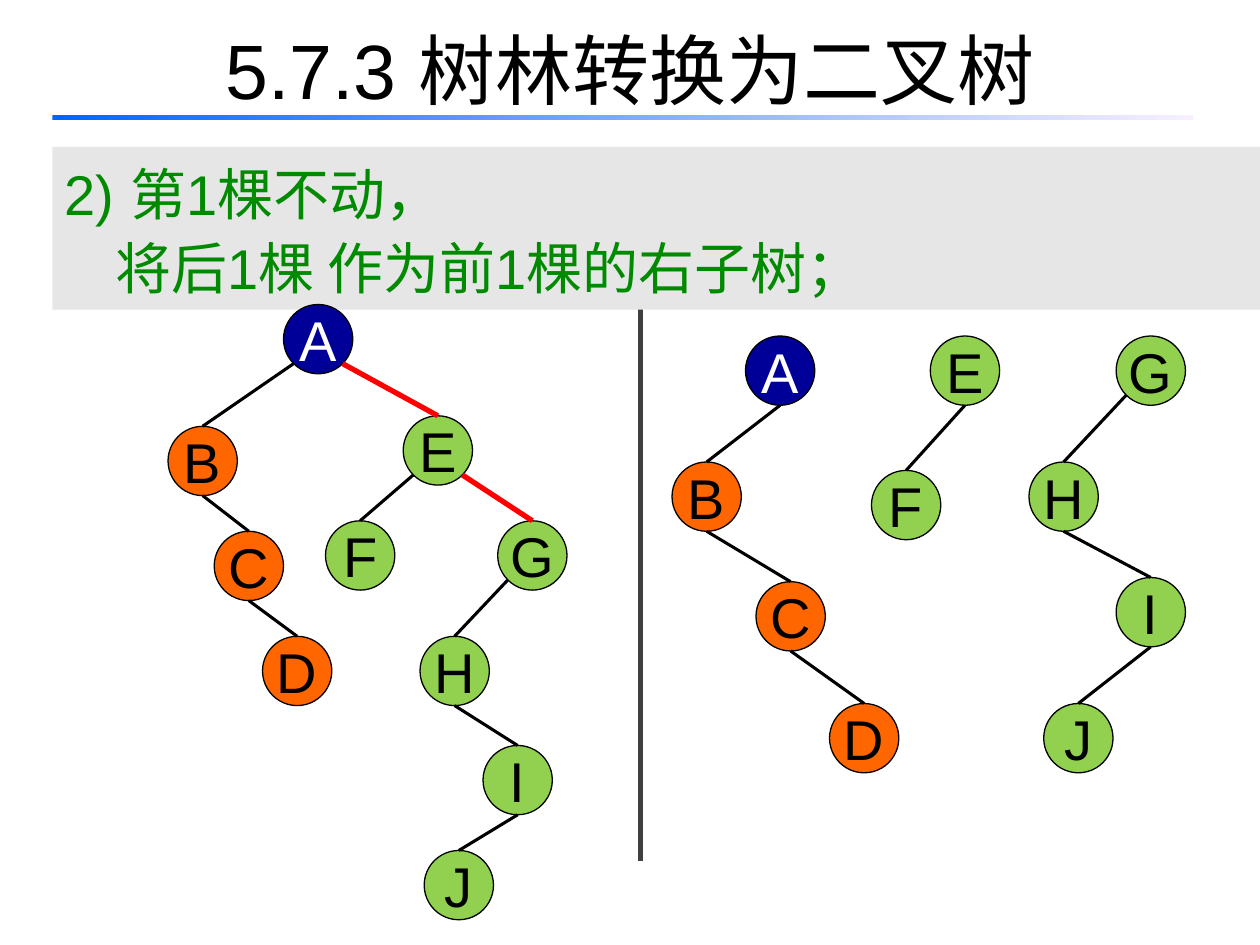
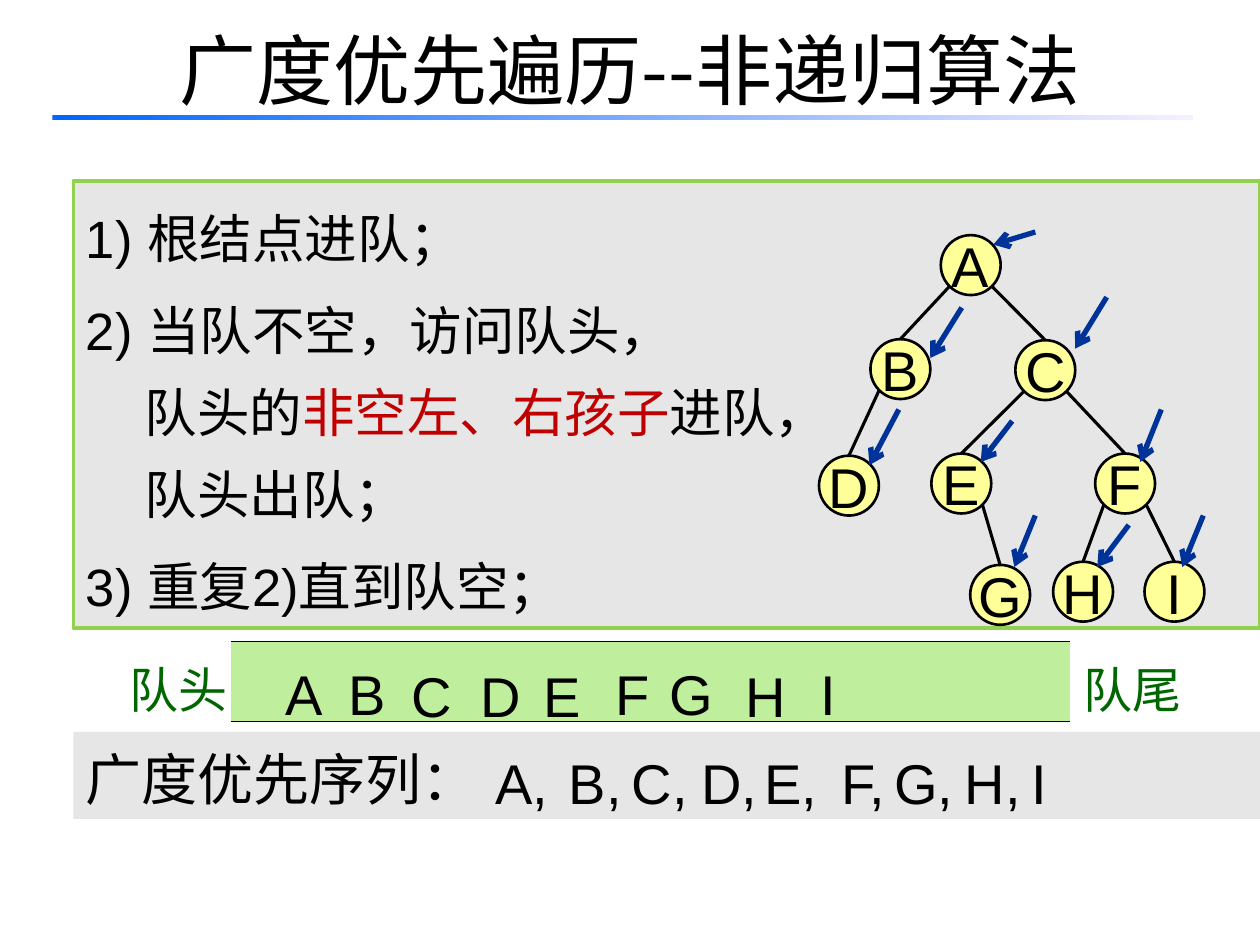
from dataclasses import dataclass
from math import sqrt

from lxml import etree
from pptx import Presentation
from pptx import util as u
from pptx.dml.color import RGBColor
from pptx.enum import shapes, text
from pptx.oxml import ns

# Grid: 120 columns by 90 rows on a 10 x 7.5 inch slide
COLS, ROWS = 120, 90
WIDTH, HEIGHT = u.Inches(10), u.Inches(7.5)
LATIN, CJK = "Arial", "Noto Sans CJK SC"
BLACK, WHITE, GREY = "000000", "FFFFFF", "E6E6E6"
NAVY, ORANGE, GREEN, YELLOW = "000099", "FF6600", "92D050", "FFFF99"
RED, DARK_RED, ARROW_BLUE = "FF0000", "C00000", "003399"
TEXT_GREEN, LABEL_GREEN = "008A00", "006600"

# Where an edge leaves its parent: share of the node's width and height
LOW, HIGH = 0.5 - sqrt(0.125), 0.5 + sqrt(0.125)
LEFT, BOTTOM, RIGHT = (LOW, HIGH), (0.5, 1), (HIGH, HIGH)


@dataclass
class Edge:
    parent: str
    child: str
    start: tuple = BOTTOM
    color: str = BLACK
    weight: float = 1.75


@dataclass
class Tree:
    nodes: dict      # label -> (column, row)
    edges: list
    size: float      # node diameter in cells
    outline: float   # node outline in points


@dataclass
class Line:
    runs: list       # (text, colour) pairs
    margin: float = 0
    indent: float = 0
    before: float = 0


@dataclass
class Label:
    text: str
    col: float
    row: float
    size: int = 32
    color: str = BLACK
    width: float = 8


def x(cols: float) -> int:
    return round(WIDTH * cols / COLS)


def y(rows: float) -> int:
    return round(HEIGHT * rows / ROWS)


def area(col: float, row: float, width: float, height: float) -> tuple:
    return x(col), y(row), x(width), y(height)


def rgb(color: str) -> RGBColor:
    return RGBColor.from_string(color)


def style(r, size: float, color: str, latin: str = LATIN) -> None:
    r.font.size, r.font.name = u.Pt(size), latin
    r.font.color.rgb = rgb(color)
    ea = etree.SubElement(r._r.get_or_add_rPr(), ns.qn("a:ea"))
    ea.set("typeface", CJK)


def add_shape(s, kind, box: tuple, fill: str, line: str = "", weight: float = 1):
    sp = s.shapes.add_shape(kind, *area(*box))
    sp.shadow.inherit = False
    sp.fill.solid()
    sp.fill.fore_color.rgb = rgb(fill)
    if line:
        sp.line.color.rgb, sp.line.width = rgb(line), u.Pt(weight)
    else:
        sp.line.fill.background()
    return sp


def add_line(s, start: tuple, end: tuple, color: str, weight: float, arrow: bool = False):
    c = s.shapes.add_connector(shapes.MSO_CONNECTOR.STRAIGHT,
                               x(start[0]), y(start[1]), x(end[0]), y(end[1]))
    c.line.color.rgb, c.line.width = rgb(color), u.Pt(weight)
    if arrow:
        etree.SubElement(c.line._get_or_add_ln(), ns.qn("a:tailEnd")).set("type", "arrow")
    etree.SubElement(c._element.spPr, ns.qn("a:effectLst"))
    return c


def add_panel(s, box: tuple, lines: list, size: float, spacing: float, outline: str = "") -> None:
    sp = add_shape(s, shapes.MSO_SHAPE.RECTANGLE, box, GREY, outline, 2.25)
    tf = sp.text_frame
    tf.word_wrap, tf.vertical_anchor = True, text.MSO_ANCHOR.TOP
    for i, line in enumerate(lines):
        p = tf.add_paragraph() if i else tf.paragraphs[0]
        p.alignment, p.line_spacing = text.PP_ALIGN.LEFT, spacing
        if line.before:
            p.space_before = u.Pt(line.before)
        pPr = p._p.get_or_add_pPr()
        pPr.set("marL", str(x(line.margin)))
        pPr.set("indent", str(x(line.indent)))
        for words, color in line.runs:
            r = p.add_run()
            r.text = words
            style(r, size, color)


def add_label(s, label: Label) -> None:
    tf = s.shapes.add_textbox(*area(label.col, label.row, label.width, 8.5)).text_frame
    tf.word_wrap = True
    tf.text = label.text
    p = tf.paragraphs[0]
    p.line_spacing = 1.25
    style(p.runs[0], label.size, label.color)


def add_tree(s, tree: Tree, fills: dict) -> None:
    drawn = {}
    for name, (col, row) in tree.nodes.items():
        fill = fills.get(name, fills["other"])
        sp = add_shape(s, shapes.MSO_SHAPE.OVAL, (col, row, tree.size, tree.size),
                       fill, BLACK, tree.outline)
        tf = sp.text_frame
        tf.word_wrap, tf.vertical_anchor = False, text.MSO_ANCHOR.MIDDLE
        tf.text = name
        p = tf.paragraphs[0]
        p.alignment = text.PP_ALIGN.CENTER
        style(p.runs[0], 32, WHITE if fill == NAVY else BLACK)
        drawn[name] = sp
    for e in tree.edges:
        start = [at + tree.size * share for at, share in zip(tree.nodes[e.parent], e.start)]
        c = add_line(s, start, tree.nodes[e.child], e.color, e.weight)
        c.end_connect(drawn[e.child], 0)


def add_slide(prs, title: list):
    """Title-only slide with the shared title style and gradient rule."""
    s = prs.slides.add_slide(prs.slide_layouts[5])
    sp = s.shapes.title
    sp.left, sp.top, sp.width, sp.height = area(6, -1, 108, 15)
    tf = sp.text_frame
    tf.vertical_anchor = text.MSO_ANCHOR.MIDDLE
    p = tf.paragraphs[0]
    p.alignment = text.PP_ALIGN.CENTER
    for words, font in title:
        r = p.add_run()
        r.text = words
        style(r, 44, BLACK, font)
    rule = add_shape(s, shapes.MSO_SHAPE.RECTANGLE, (5, 10.95, 108.6, 0.5), WHITE)
    rule.fill.gradient()
    rule.fill.gradient_angle = 0
    for stop, color in zip(rule.fill.gradient_stops, ("0066FF", "F7EFFF")):
        stop.color.rgb = rgb(color)
    return s


def add_queue(s) -> None:
    """Open-ended one-cell table that stands for the queue."""
    table = s.shapes.add_table(1, 1, *area(22, 61.1, 80, 7.6)).table
    table.first_row = table.horz_banding = False
    cell = table.cell(0, 0)
    tcPr = cell._tc.get_or_add_tcPr()
    for side, color in (("L", ""), ("R", WHITE), ("T", BLACK), ("B", BLACK)):
        ln = etree.SubElement(tcPr, ns.qn(f"a:ln{side}"), w=str(u.Pt(1)))
        fill = etree.SubElement(ln, ns.qn("a:solidFill" if color else "a:noFill"))
        if color:
            etree.SubElement(fill, ns.qn("a:srgbClr"), val=color)
    cell.fill.solid()
    cell.fill.fore_color.rgb = rgb("BFEE9C")


def forest_slide(prs) -> None:
    s = add_slide(prs, [("5.7.3 ", LATIN), ("树林转换为二叉树", CJK)])
    add_line(s, (61, 28), (61, 82), "404040", 3)
    add_panel(s, (5, 14, 115, 15.5), [
        Line([("2) 第1棵不动，", TEXT_GREEN)]),
        Line([("将后1棵 作为前1棵的右子树；", TEXT_GREEN)], margin=4.8),
    ], 32, 1.1)

    # Separate binary trees on the right, joined tree on the left
    chains = [Edge("B", "C"), Edge("C", "D"), Edge("G", "H", LEFT),
              Edge("H", "I"), Edge("I", "J")]
    separate = Tree(
        {"A": (71, 32), "B": (64, 44), "C": (72, 55.4), "D": (79, 67),
         "E": (88.6, 32), "F": (83, 44.8), "G": (106.3, 32), "H": (98, 44),
         "I": (106.3, 55), "J": (99.4, 67)},
        chains + [Edge("A", "B"), Edge("E", "F")], 6.6, 0.75)
    joined = Tree(
        {"A": (27, 29), "B": (16, 40.6), "C": (20.4, 50.6), "D": (25, 60.6),
         "E": (38.4, 39.6), "F": (31, 49.6), "G": (47.4, 49.6), "H": (40, 60.6),
         "I": (46, 71), "J": (40.4, 81)},
        chains + [Edge("A", "B", LEFT), Edge("E", "F", LEFT),
                  Edge("A", "E", RIGHT, RED, 3), Edge("E", "G", RIGHT, RED, 3)], 6.6, 0.75)
    fills = {"A": NAVY, "B": ORANGE, "C": ORANGE, "D": ORANGE, "other": GREEN}
    for tree in (separate, joined):
        add_tree(s, tree, fills)


def traversal_slide(prs) -> None:
    s = add_slide(prs, [("广度优先遍历--非递归算法", CJK)])

    # Steps of the algorithm
    hang = {"margin": 6.7, "indent": -6.7}
    add_panel(s, (7, 17.2, 113, 42.6), [
        Line([("1) 根结点进队；", BLACK)], **hang),
        Line([("2) 当队不空，访问队头，", BLACK)], before=6, **hang),
        Line([("队头的", BLACK), ("非空左、右孩子", DARK_RED), ("进队，", BLACK)], margin=5.6),
        Line([("队头出队；", BLACK)], margin=5.6),
        Line([("3) 重复2)直到队空；", BLACK)], before=6, **hang),
    ], 30, 1.3, GREEN)

    # Tree and the arrows that mark the visits
    add_tree(s, Tree(
        {"A": (89.6, 22.4), "B": (82.9, 32.3), "C": (96.7, 32.4), "D": (78, 43.4),
         "E": (88.7, 43.2), "F": (104.3, 43.2), "G": (92.4, 53.8),
         "H": (100.3, 53.5), "I": (109, 53.5)},
        [Edge("A", "B", LEFT), Edge("A", "C", RIGHT), Edge("B", "D", LEFT),
         Edge("C", "E", LEFT), Edge("C", "F", RIGHT), Edge("E", "G", RIGHT),
         Edge("F", "H", LEFT), Edge("F", "I", RIGHT)], 5.7, 1.5), {"other": YELLOW})
    visits = [((98.6, 22.1), (94.6, 23.3)), ((91.6, 29.3), (88.6, 34.1)),
              ((105.4, 28.3), (102.4, 33.2)), ((85.6, 39), (82.8, 44.3)),
              ((96.4, 40.1), (93.4, 44)), ((110.6, 39), (108.6, 44)),
              ((98.6, 49.1), (96.6, 54)), ((107.5, 50), (104.5, 54)),
              ((114.6, 49.1), (112.6, 54))]
    for start, end in visits:
        add_line(s, start, end, ARROW_BLUE, 3, arrow=True)

    # Queue and visiting sequence
    add_panel(s, (7, 69.7, 113, 8.3), [Line([("广度优先序列：", BLACK)])], 32, 1.1)
    add_queue(s)
    add_label(s, Label("队头", 11.2, 60.8, 28, LABEL_GREEN, 12))
    add_label(s, Label("队尾", 102, 60.8, 28, LABEL_GREEN, 12))
    names = "ABCDEFGHI"
    queue_cols = (26, 32, 38, 44.6, 50.6, 57.4, 62.6, 69.8, 77)
    sequence_cols = (46, 53, 59, 65.6, 71.6, 79, 84, 90.7, 97.1)
    for name, queue_col, sequence_col in zip(names, queue_cols, sequence_cols):
        add_label(s, Label(name, queue_col, 60.8 if name in "CDEH" else 60.6))
        comma = "" if name == names[-1] else ","
        add_label(s, Label(name + comma, sequence_col, 69.1))


def main() -> None:
    prs = Presentation()
    prs.slide_width, prs.slide_height = WIDTH, HEIGHT
    forest_slide(prs)
    traversal_slide(prs)
    prs.save("out.pptx")


if __name__ == "__main__":
    main()
